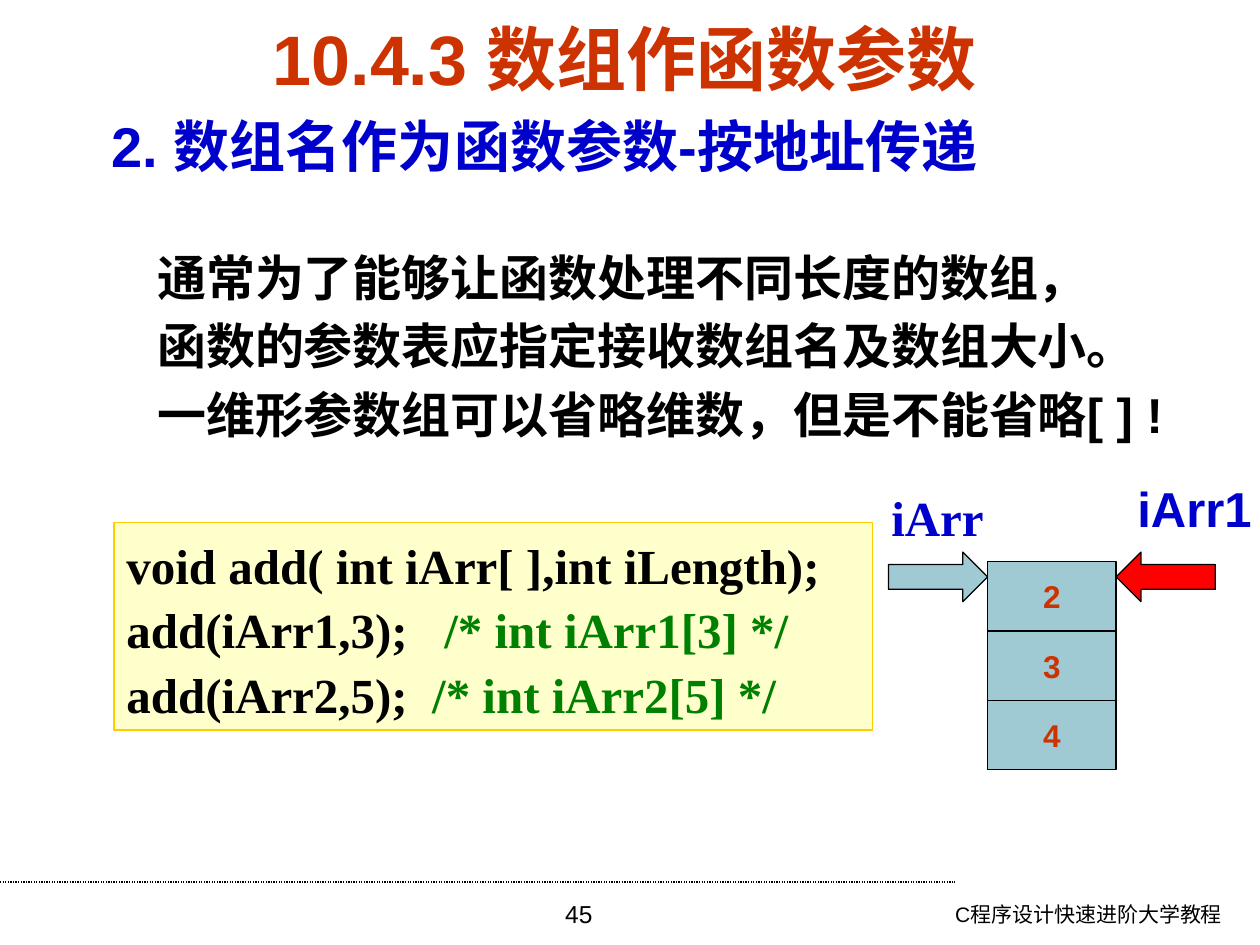
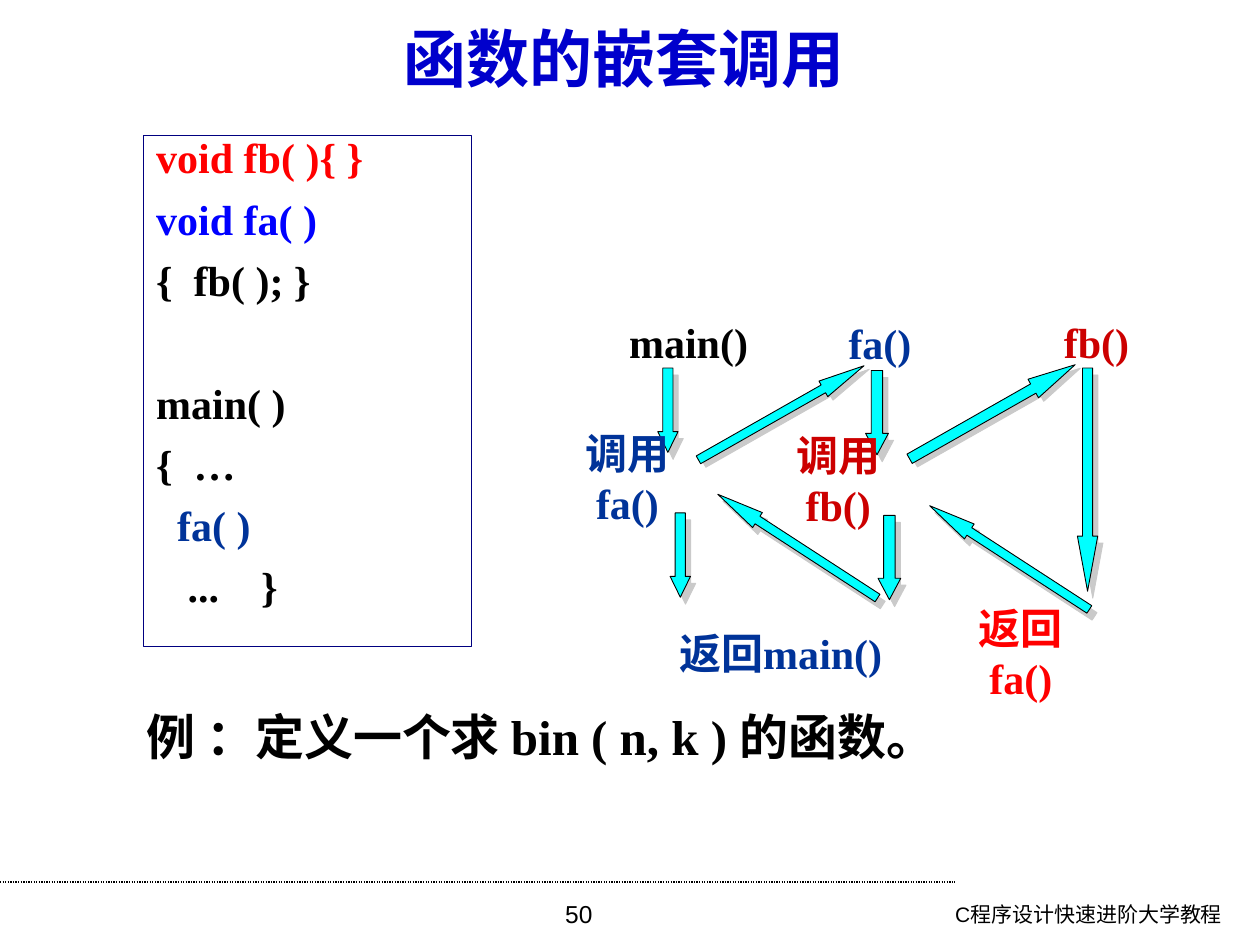
"""Build two slides on array parameters and nested function calls in C."""
from lxml.etree import SubElement
from pptx import Presentation
from pptx.dml.color import RGBColor
from pptx.enum.dml import MSO_LINE
from pptx.enum.shapes import MSO_CONNECTOR, MSO_SHAPE
from pptx.enum.text import MSO_ANCHOR, PP_ALIGN
from pptx.oxml.ns import qn
from pptx.util import Cm, Pt

COLORS = {
    "black": "000000", "title": "CC3300", "heading": "0000CC", "comment": "008000",
    "code_fill": "FFFFCC", "code_line": "FFCC00", "cell": "9FCAD3", "red": "FF0000",
    "blue": "0000FF", "navy": "000080", "fa": "003399", "fb": "CC0000",
    "cyan": "00FFFF", "shadow": "CACACA",
}
SANS, SERIF = "Arial", "Times New Roman"
LEFT, CENTER, RIGHT = PP_ALIGN.LEFT, PP_ALIGN.CENTER, PP_ALIGN.RIGHT
TOP, MIDDLE = MSO_ANCHOR.TOP, MSO_ANCHOR.MIDDLE


def place(page, kind, bounds, fill=None, line="black", width=0.75):
    """Add a preset shape, or a text box when kind is None."""
    lengths = [Cm(value) for value in bounds]
    if kind is None:
        return page.shapes.add_textbox(*lengths)
    shape = page.shapes.add_shape(kind, *lengths)
    shape.shadow.inherit = False
    if fill:
        shape.fill.solid()
        shape.fill.fore_color.rgb = RGBColor.from_string(COLORS[fill])
    else:
        shape.fill.background()
    shape.line.color.rgb = RGBColor.from_string(COLORS[line])
    shape.line.width = Pt(width)
    return shape


def write(box, lines, size, font=SERIF, bold=True, align=LEFT, anchor=MIDDLE,
          wrap=False, spacing=None, gaps=()):
    """Fill a box with paragraphs, each a list of (text, color) spans."""
    frame = box.text_frame
    frame.word_wrap = wrap
    frame.vertical_anchor = anchor
    for index, spans in enumerate(lines):
        para = frame.paragraphs[0] if index == 0 else frame.add_paragraph()
        para.alignment = align
        para.font.name, para.font.size, para.font.bold = font, Pt(size), bold
        if spacing:
            para.line_spacing = spacing
        if gaps:
            para.space_before = Pt(gaps[index])
        for text, color in spans:
            span = para.add_run()
            span.text = text
            span.font.color.rgb = RGBColor.from_string(COLORS[color])


deck = Presentation()
deck.slide_width, deck.slide_height = Cm(25.4), Cm(19.05)

pages = []
for title, color, size, number in [
    ("10.4.3 数组作函数参数", "title", 40, "45"),
    ("函数的嵌套调用", "heading", 36, "50"),
]:
    page = deck.slides.add_slide(deck.slide_layouts[6])
    rule = page.shapes.add_connector(MSO_CONNECTOR.STRAIGHT, 0, Cm(17.78), Cm(19.25), Cm(17.78))
    rule.line.color.rgb = RGBColor.from_string(COLORS["black"])
    rule.line.width = Pt(0.75)
    rule.line.dash_style = MSO_LINE.ROUND_DOT
    SubElement(rule._element.spPr, qn("a:effectLst"))
    write(place(page, None, (16.69, 18.04, 8.2, 0.99)), [[("C程序设计快速进阶大学教程", "black")]],
          12, SANS, bold=False, align=RIGHT, anchor=TOP)
    write(place(page, None, (8.71, 17.99, 5.92, 1.04)), [[(number, "black")]],
          14, SANS, bold=False, align=CENTER, anchor=TOP)
    write(place(page, None, (1.09, 0.53, 23, 1.27)), [[(title, color)]], size, SANS, align=CENTER)
    pages.append(page)
array_page, nesting_page = pages

write(place(array_page, None, (2, 2.13, 22, 1.6)),
      [[("2. 数组名作为函数参数-按地址传递", "heading")]], 32, SANS, anchor=TOP)
write(place(array_page, None, (2.92, 4.86, 21.5, 4.4)), [
    [("通常为了能够让函数处理不同长度的数组，", "black")],
    [("函数的参数表应指定接收数组名及数组大小。", "black")],
    [("一维形参数组可以省略维数，但是不能省略[ ] !", "black")],
], 28, SANS, anchor=TOP, gaps=(0, 5.6, 5.6))

prototype = place(array_page, MSO_SHAPE.RECTANGLE, (2.3, 10.53, 15.29, 4.19),
                  "code_fill", "code_line")
write(prototype, [
    [("void add( int iArr[ ],int iLength);", "black")],
    [("add(iArr1,3);   ", "black"), ("/* int iArr1[3] */", "comment")],
    [("add(iArr2,5);  ", "black"), ("/* int iArr2[5] */", "comment")],
], 28, spacing=1.1)

for name, font, arrow_left, label_left, label_top, fill, turn in [
    ("iArr", SERIF, 17.91, 17.7, 9.73, "cell", 0),
    ("iArr1", SANS, 22.5, 22.88, 9.53, "red", 180),
]:
    pointer = place(array_page, MSO_SHAPE.RIGHT_ARROW, (arrow_left, 11.13, 2, 1), fill)
    pointer.rotation = turn
    label = place(array_page, None, (label_left, label_top, 2.4, 1.4))
    label.text_frame.margin_left = label.text_frame.margin_right = 0
    write(label, [[(name, "heading")]], 28, font, align=CENTER)

CELL_HEIGHT = 1.4
for row, value in enumerate("234"):
    cell = place(array_page, MSO_SHAPE.RECTANGLE,
                 (19.91, 11.32 + row * CELL_HEIGHT, 2.59, CELL_HEIGHT), "cell")
    write(cell, [[(value, "title")]], 18, SANS, align=CENTER)

listing = place(nesting_page, MSO_SHAPE.RECTANGLE, (2.9, 2.73, 6.6, 10.31), line="navy")
write(listing, [
    [("void fb( ){ }", "red")],
    [("void fa( )", "blue")],
    [("{  fb( ); }", "black")],
    [("main( )", "black")],
    [("{  …", "black")],
    [("  fa( )", "fa")],
    [("   ...    }", "black")],
], 24, anchor=TOP, wrap=True, spacing=0.8, gaps=(0, 12, 12, 47, 12, 12, 12))

for left, top, width, height, head, turn, distance, direction in [
    (13.26, 7.42, 0.41, 1.7, 1.02, 0, 5, 53),
    (17.45, 7.47, 0.46, 1.7, 0.94, 0, 5, 53),
    (21.72, 7.42, 0.41, 4.5, 2.71, 0, 5, 53),
    (13.51, 10.34, 0.41, 1.7, 1.02, 0, 5, 53),
    (17.7, 10.39, 0.46, 1.7, 0.94, 0, 5, 53),
    (15.57, 6.4, 0.36, 3.84, 2.62, 240.4, 3.6, 34),
    (19.79, 6.38, 0.43, 3.84, 2.26, 240.4, 3.6, 34),
    (20.17, 9.32, 0.36, 3.84, 2.65, 123, 5, 53),
    (15.9, 9.09, 0.36, 3.84, 2.65, 123, 5, 53),
]:
    arrow = place(nesting_page, MSO_SHAPE.DOWN_ARROW, (left, top, width, height), "cyan", width=0.5)
    arrow.adjustments[0], arrow.adjustments[1] = 0.5, head
    arrow.rotation = turn
    effects = arrow._element.spPr.find(qn("a:effectLst"))
    shadow = SubElement(effects, qn("a:outerShdw"), dist=str(Pt(distance)),
                        dir=str(direction * 60000), algn="ctr", rotWithShape="0")
    SubElement(shadow, qn("a:srgbClr"), val=COLORS["shadow"])

for text, color, left, top, width, wrap in [
    ("main()", "black", 12.43, 6.25, 2.9, False),
    ("fa()", "fa", 16.85, 6.27, 1.78, False),
    ("fb()", "fb", 21.19, 6.25, 1.83, False),
    ("调用fa()", "fa", 11.2, 8.99, 2.9, True),
    ("调用fb()", "fb", 15.45, 9.04, 2.9, True),
    ("返回fa()", "red", 19.13, 12.52, 2.9, True),
    ("返回main()", "fa", 13.2, 12.52, 5.08, False),
]:
    write(place(nesting_page, None, (left, top, width, 1.27)), [[(text, color)]],
          24, align=CENTER, wrap=wrap)

write(place(nesting_page, None, (2.7, 14.12, 16.54, 1.45)),
      [[("例 ：定义一个求 bin ( n, k ) 的函数。", "black")]], 28)

deck.save("out.pptx")
